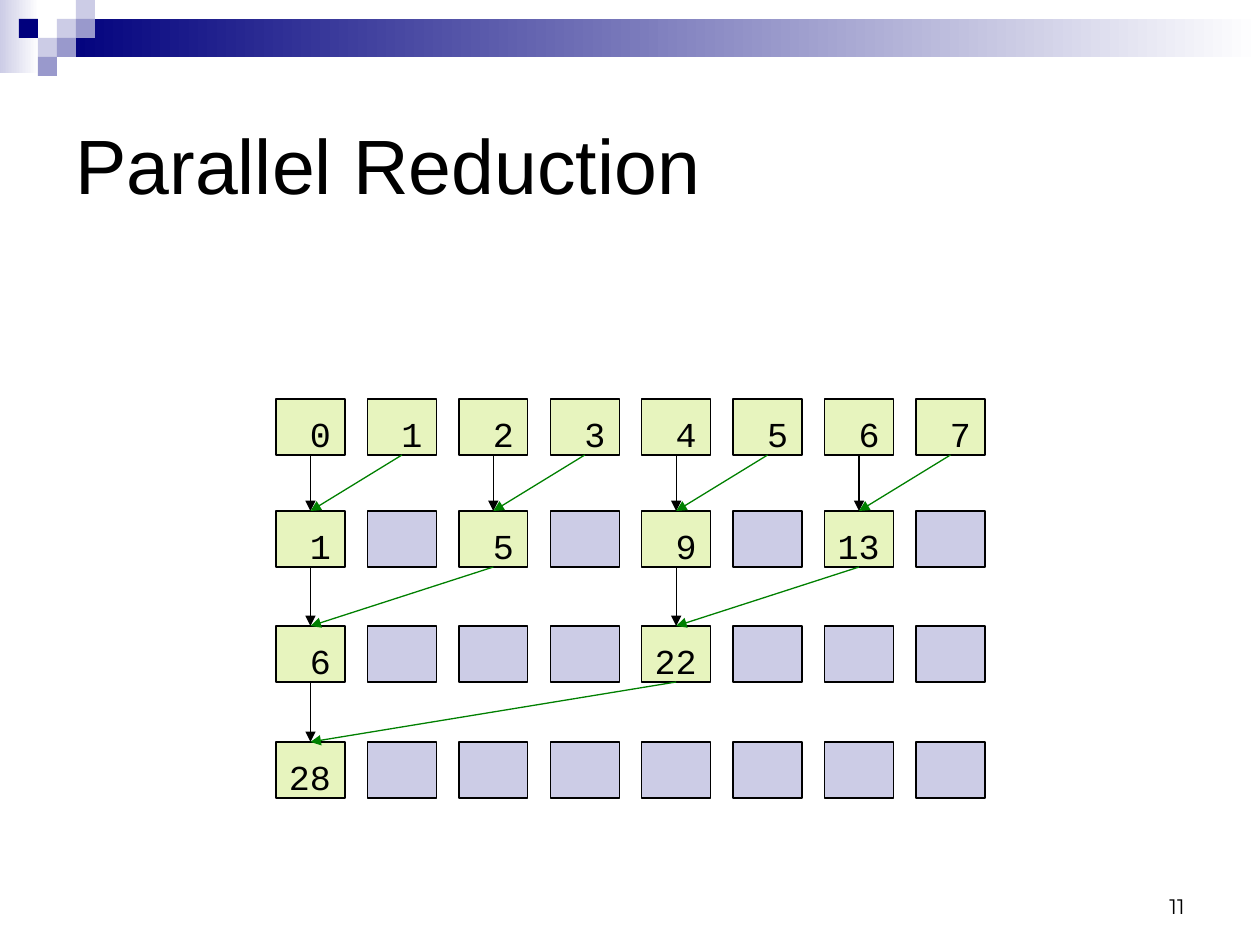
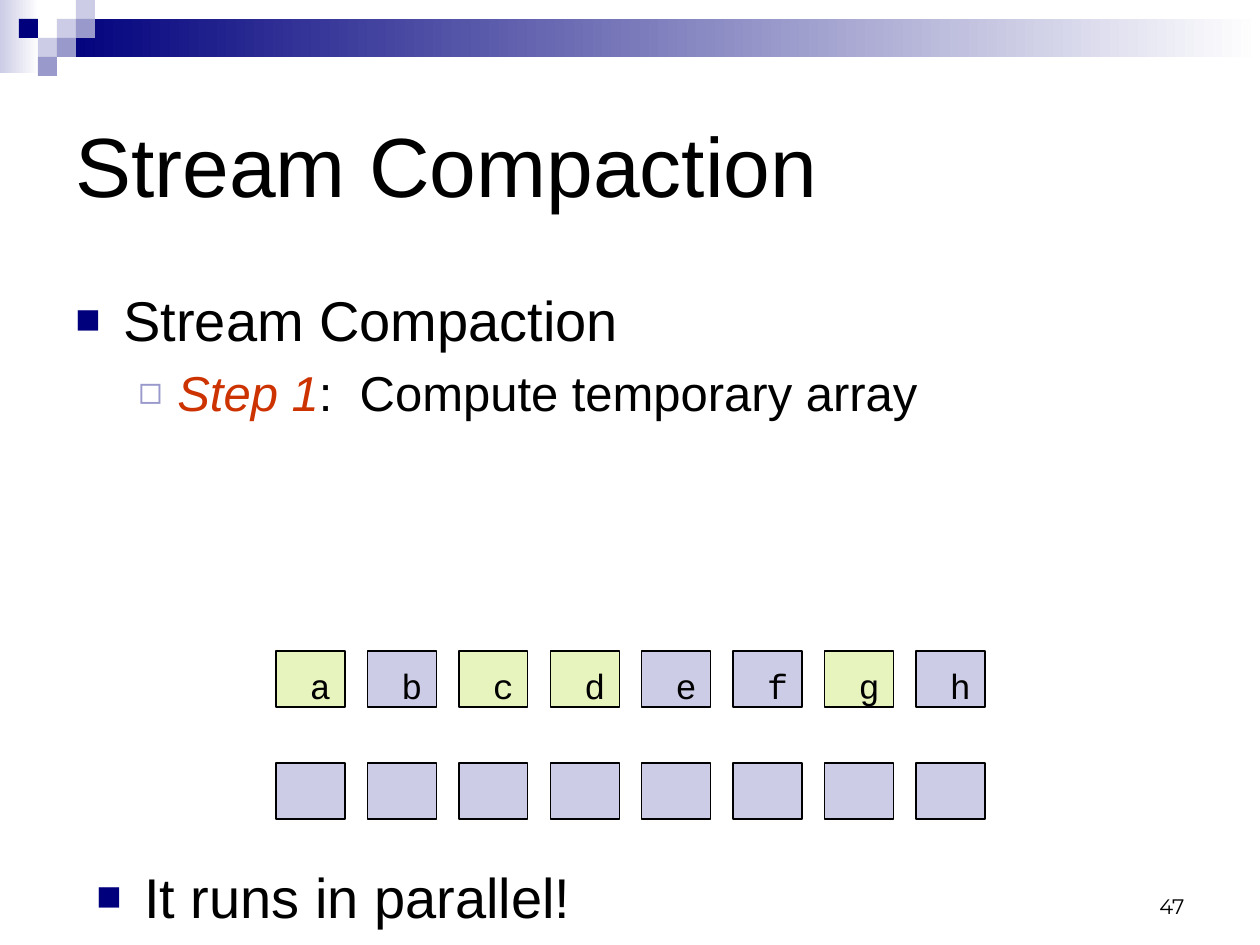
from lxml.etree import SubElement
from pptx import Presentation
from pptx.dml.color import RGBColor
from pptx.enum.shapes import MSO_CONNECTOR as Connector, MSO_SHAPE as Shape
from pptx.enum.text import MSO_ANCHOR as Anchor, PP_ALIGN as Align
from pptx.oxml.ns import qn
from pptx.util import Emu, Pt

PX = 914400 / 126
BLACK = RGBColor(0, 0, 0)
WHITE = RGBColor(255, 255, 255)
NAVY = RGBColor(0, 0, 0x7D)
LAVENDER = RGBColor(0xCC, 0xCC, 0xE6)
PERIWINKLE = RGBColor(0x99, 0x99, 0xCC)
LIME = RGBColor(0xE7, 0xF4, 0xBE)
GREEN = RGBColor(0, 0x80, 0)
RUST = RGBColor(0xCC, 0x33, 0)

COLUMNS = 8
CELL_BOX = (69, 56)
GRID_LEFT = 276
GRID_WIDTH = 709
TILE = 19
TILES = [(3, 1, LAVENDER), (4, 0, LAVENDER), (4, 1, PERIWINKLE),
         (2, 2, LAVENDER), (1, 1, NAVY), (3, 2, PERIWINKLE),
         (2, 3, PERIWINKLE)]
BULLETS = [("■", NAVY, 75, 48, 48), ("◻", PERIWINKLE, 80, 102, 39)]


def px(length):
    """Turn px into EMU."""
    return Emu(round(length * PX))


def style(span, size, font="Arial", color=BLACK):
    """Set the font of a run."""
    span.font.size = Pt(size)
    span.font.name = font
    span.font.color.rgb = color


def add_rect(page, box, color, fade=None):
    """Draw a rectangle without outline, filled plainly or fading to the right."""
    rect = page.shapes.add_shape(Shape.RECTANGLE, *map(px, box))
    rect.shadow.inherit = False
    rect.line.fill.background()
    if fade is None:
        rect.fill.solid()
        rect.fill.fore_color.rgb = color
    else:
        rect.fill.gradient()
        rect.fill.gradient_angle = 0
        for stop, shade in zip(rect.fill.gradient_stops, (color, fade)):
            stop.color.rgb = shade
    return rect


def add_text(page, box, text, size, anchor=Anchor.TOP, font="Arial"):
    """Place a wrapping text box and return its text frame."""
    frame = page.shapes.add_textbox(*map(px, box)).text_frame
    frame.word_wrap = True
    frame.vertical_anchor = anchor
    frame.text = text
    for para in frame.paragraphs:
        for span in para.runs:
            style(span, size, font)
    return frame


def add_bullet(para, level):
    """Give a paragraph the bullet and indent of its level."""
    mark, color, percent, margin, hang = BULLETS[level]
    para.level = level
    props = para._p.get_or_add_pPr()
    props.set("marL", str(px(margin)))
    props.set("indent", str(-px(hang)))
    tint = SubElement(props, qn("a:buClr"))
    SubElement(tint, qn("a:srgbClr"), val=str(color))
    SubElement(props, qn("a:buSzPct"), val=str(percent * 1000))
    SubElement(props, qn("a:buFont"), typeface="Arial")
    SubElement(props, qn("a:buChar"), char=mark)


def add_page(deck, title, size, number):
    """Add a page with the shared band, title and page number."""
    page = deck.slides.add_slide(deck.slide_layouts[6])
    add_rect(page, (0, 0, 39, 73), LAVENDER, WHITE)
    add_rect(page, (3 * TILE, TILE, 1260 - 3 * TILE, 2 * TILE), NAVY, WHITE)
    for column, row, color in TILES:
        add_rect(page, (column * TILE, row * TILE, TILE, TILE), color)
    add_text(page, (63, 69, 1134, 189), title, size, Anchor.MIDDLE)
    footer = add_text(page, (903, 862, 294, 63), str(number), 12,
                      Anchor.BOTTOM, "Montserrat")
    footer.paragraphs[0].alignment = Align.RIGHT
    return page


def add_cell(page, left, top, text, color):
    """Draw one array cell."""
    cell = add_rect(page, (left, top, *CELL_BOX), color)
    cell.line.color.rgb = BLACK
    cell.line.width = Pt(0.75)
    if text:
        frame = cell.text_frame
        frame.word_wrap = False
        frame.vertical_anchor = Anchor.TOP
        frame.margin_left = frame.margin_bottom = 0
        frame.margin_top, frame.margin_right = px(13), px(14)
        frame.text = text
        frame.paragraphs[0].alignment = Align.RIGHT
        style(frame.paragraphs[0].runs[0], 20, "Courier New")
    return cell


def add_array(page, top, texts, active):
    """Draw a row of cells, with the active columns highlighted."""
    pitch = (GRID_WIDTH - CELL_BOX[0]) / (COLUMNS - 1)
    return [add_cell(page, GRID_LEFT + column * pitch, top, text,
                     LIME if column in active else LAVENDER)
            for column, text in enumerate(texts)]


def add_arrow(page, upper, lower, color):
    """Join the bottom of one cell to the top of another."""
    arrow = page.shapes.add_connector(Connector.STRAIGHT, 0, 0, 0, 0)
    arrow.begin_connect(upper, 0 + 2)
    arrow.end_connect(lower, 0)
    arrow.line.color.rgb = color
    arrow.line.width = Pt(0.75)
    SubElement(arrow.line._get_or_add_ln(), qn("a:tailEnd"), type="triangle")
    SubElement(arrow._element.spPr, qn("a:effectLst"))


def add_reduction(page, tops):
    """Draw the summing tree, doubling the stride at each level."""
    sums = dict(enumerate(range(COLUMNS)))
    above = None
    for level, top in enumerate(tops):
        stride = 2 ** level
        if above:
            sums = {column: sums[column] + sums[column + stride // 2]
                    for column in range(0, COLUMNS, stride)}
        texts = [str(sums.get(column, "")) for column in range(COLUMNS)]
        cells = add_array(page, top, texts, sums)
        if above:
            for column in sums:
                add_arrow(page, above[column], cells[column], BLACK)
                add_arrow(page, above[column + stride // 2], cells[column], GREEN)
        above = cells


def add_steps(page, box):
    """Write the topic and its first step."""
    frame = add_text(page, box, "Stream Compaction", 32)
    add_bullet(frame.paragraphs[0], 0)
    step = frame.add_paragraph()
    add_bullet(step, 1)
    step.space_before = Pt(6)
    for text in ("Step 1", ": ", "Compute temporary array"):
        span = step.add_run()
        span.text = text
        style(span, 28)
    label, colon, _ = step.runs
    label.font.italic = True
    label.font.color.rgb = RUST
    colon.font._element.set("spc", "390")


def build_reduction(deck):
    """Build the parallel reduction page."""
    page = add_page(deck, "Parallel Reduction", 44, 11)
    add_reduction(page, (399, 511, 626, 742))


def build_compaction(deck):
    """Build the stream compaction page."""
    page = add_page(deck, "Stream Compaction", 48, 47)
    add_steps(page, (63, 279, 1176, 336))
    add_array(page, 651, "abcdefgh", (0, 2, 3, 6))
    add_array(page, 763, [""] * COLUMNS, ())
    remark = add_text(page, (84, 856, 800, 84), "It runs in parallel!", 32)
    add_bullet(remark.paragraphs[0], 0)


def main():
    """Build and save the deck."""
    deck = Presentation()
    deck.slide_width, deck.slide_height = px(1260), px(945)
    build_reduction(deck)
    build_compaction(deck)
    deck.save("out.pptx")


if __name__ == "__main__":
    main()
